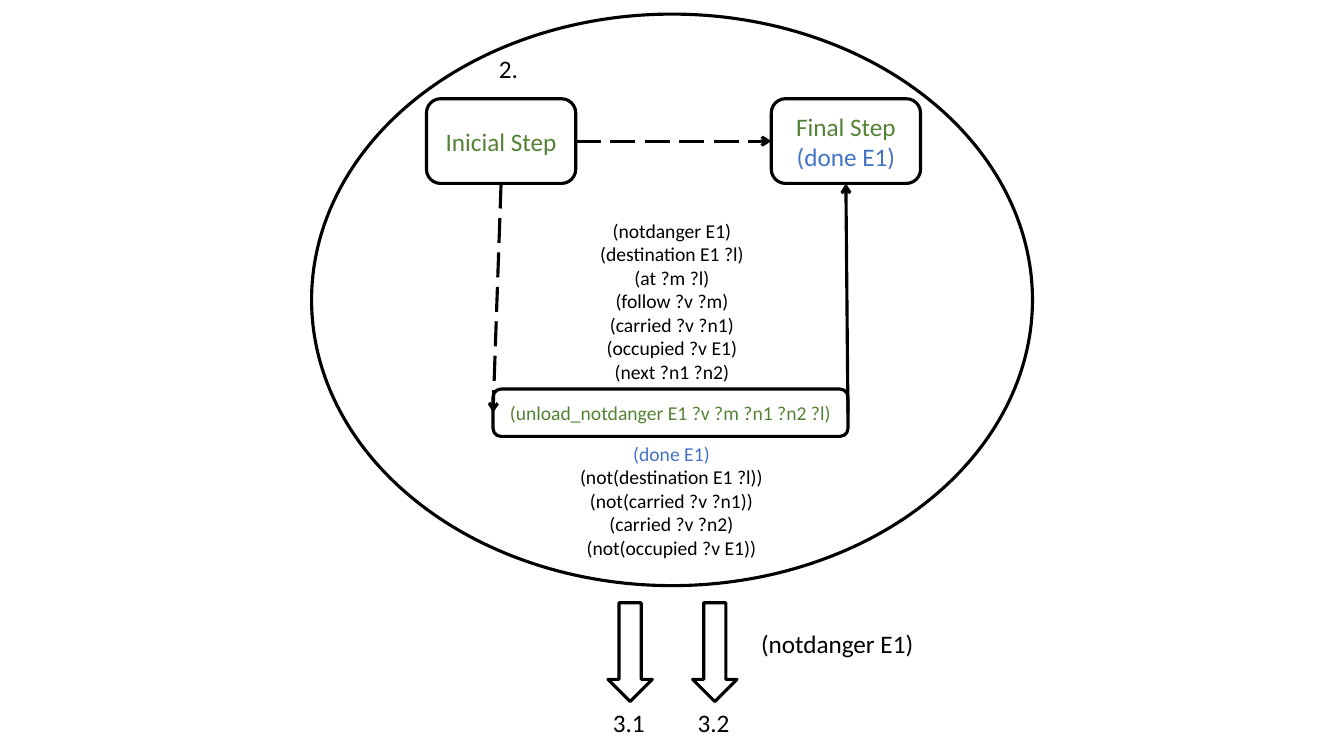
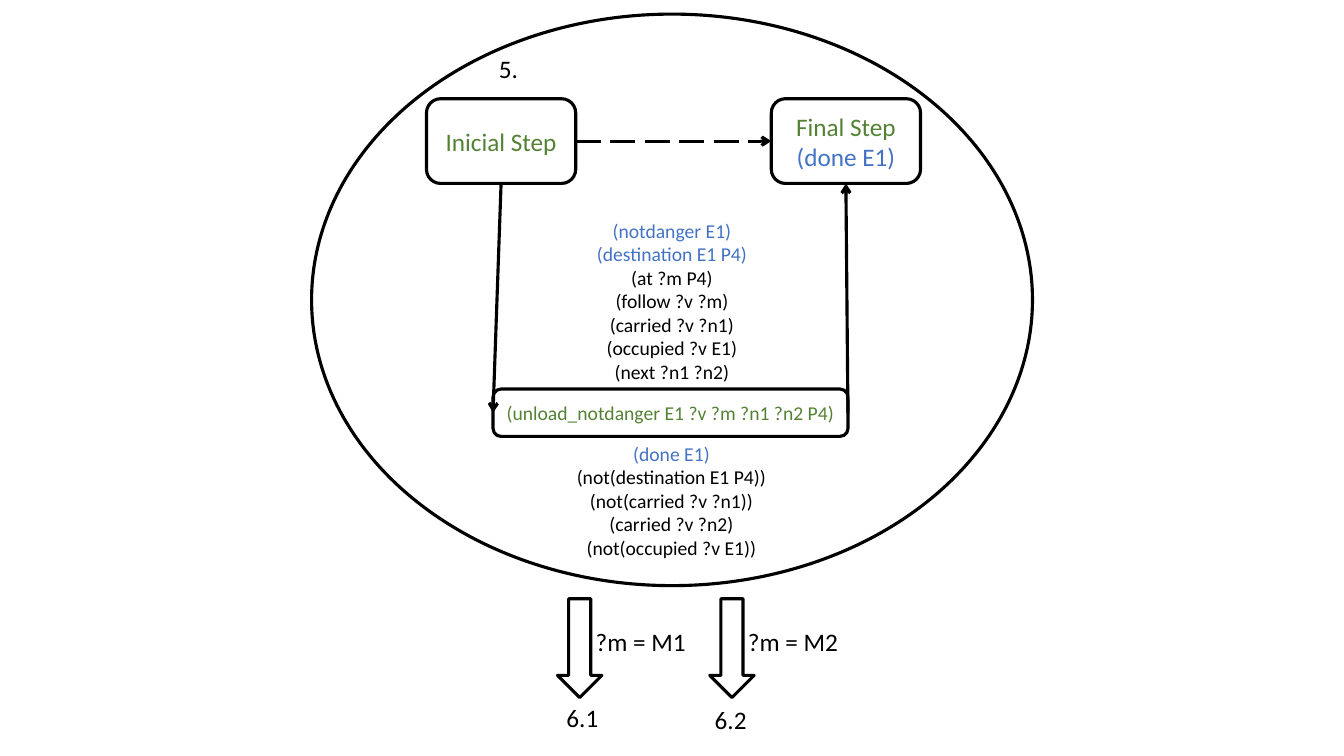
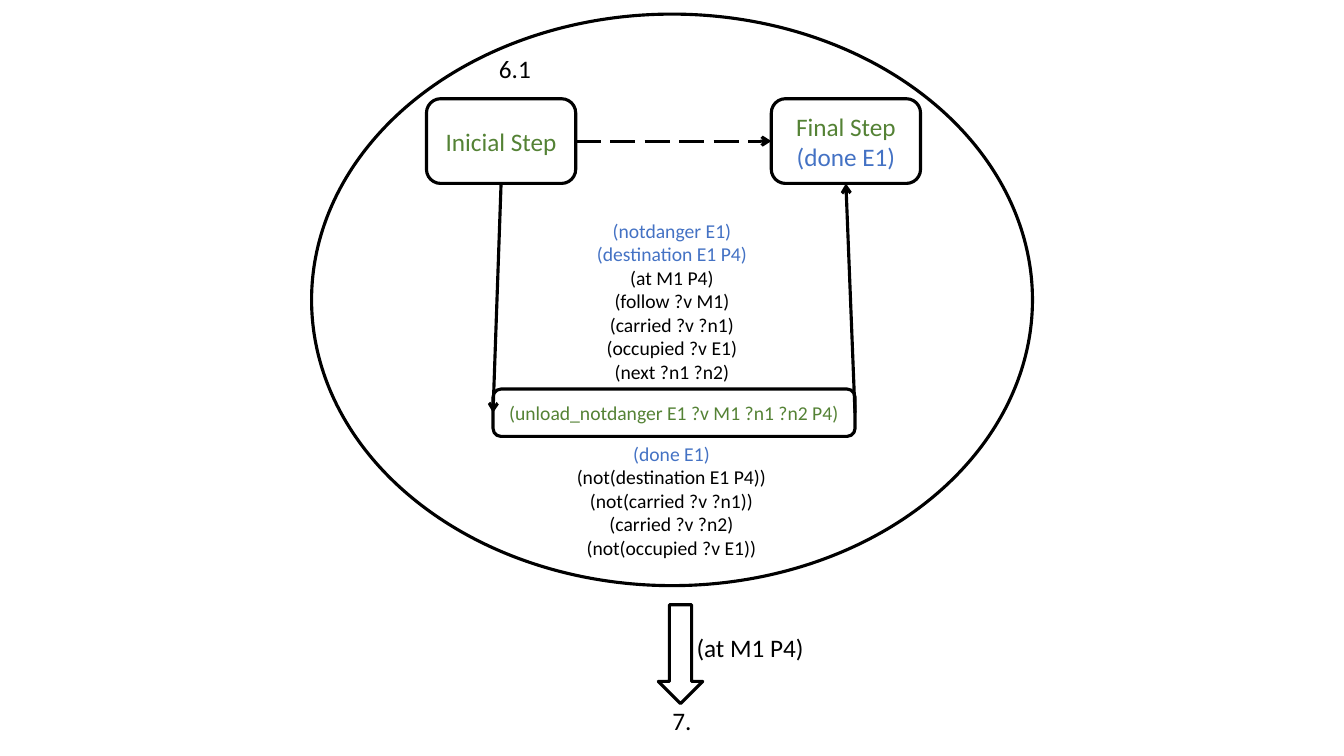
from dataclasses import dataclass
from pptx import Presentation
from pptx.dml.color import RGBColor as RGB
from pptx.enum.dml import MSO_LINE as Dash
from pptx.enum.shapes import MSO_CONNECTOR as Conn, MSO_SHAPE as Form
from pptx.enum.text import MSO_ANCHOR as Anchor, PP_ALIGN as Align
from pptx.oxml import parse_xml
from pptx.oxml.ns import nsdecls, qn
from pptx.util import Inches, Pt


@dataclass
class Theme:
    ink: RGB = RGB(0, 0, 0)
    paper: RGB = RGB(255, 255, 255)
    green: RGB = RGB(0x54, 0x82, 0x35)
    blue: RGB = RGB(0x44, 0x72, 0xC4)
    font: str = "Calibri"
    big: int = 18
    small: int = 14
    line: float = 2.25


theme = Theme()


def write(box, rows, size=theme.big, align=Align.CENTER, **style):
    frame = box.text_frame
    for name, value in style.items():
        setattr(frame, name, value)
    for i, (text, color) in enumerate(rows):
        para = frame.paragraphs[0] if i == 0 else frame.add_paragraph()
        para.alignment = align
        run = para.add_run()
        run.text = text
        run.font.name, run.font.size = theme.font, Pt(size)
        run.font.color.rgb = color


def draw(slide, form, *place):
    shape = slide.shapes.add_shape(form, *map(Inches, place))
    shape.shadow.inherit = False
    shape.fill.solid()
    shape.fill.fore_color.rgb = theme.paper
    shape.line.color.rgb = theme.ink
    shape.line.width = Pt(theme.line)
    return shape


pages = [
    dict(number="2.", item="?m", place="?l", known=0, width=3.52, open=True,
         top=5.98, arrows=[6.03, 6.87],
         notes=[("3.1", 5.98, 6.97, 0.54), ("3.2", 6.82, 6.97, 0.54),
                ("(notdanger E1)", 7.45, 6.18, 1.77)]),
    dict(number="5.", item="?m", place="P4", known=2, width=3.52, open=False,
         top=5.94, arrows=[5.53, 7.04],
         notes=[("?m = M1", 5.81, 6.16, 1.17), ("?m = M2", 7.32, 6.16, 1.26),
                ("6.2", 6.99, 6.94, 0.54), ("6.1", 5.52, 6.92, 0.69)]),
    dict(number="6.1", item="M1", place="P4", known=2, width=3.59, open=False,
         top=6, arrows=[6.53],
         notes=[("(at M1 P4)", 6.81, 6.22, 2.22), ("7.", 6.57, 6.95, 0.39)]),
]
TOP, LEFT, BOTTOM, RIGHT = range(4)

deck = Presentation()
deck.slide_width, deck.slide_height = Inches(13.33), Inches(7.5)

for page in pages:
    slide = deck.slides.add_slide(deck.slide_layouts[6])
    item, place = page["item"], page["place"]
    draw(slide, Form.OVAL, 3.09, 0.14, 7.15, 5.67)

    start = draw(slide, Form.ROUNDED_RECTANGLE, 4.23, 0.98, 1.48, 0.84)
    final = draw(slide, Form.ROUNDED_RECTANGLE, 7.65, 0.98, 1.48, 0.84)
    step = draw(slide, Form.ROUNDED_RECTANGLE, 4.89, 3.86, page["width"], 0.47)
    action = f"(unload_notdanger E1 ?v {item} ?n1 ?n2 {place})"
    for box, rows, size in [
        (start, [("Inicial Step", theme.green)], theme.big),
        (final, [("Final Step", theme.green), ("(done E1)", theme.blue)], theme.big),
        (step, [(action, theme.green)], theme.small),
    ]:
        write(box, rows, size, vertical_anchor=Anchor.MIDDLE)

    needs = ["(notdanger E1)", f"(destination E1 {place})", f"(at {item} {place})",
             f"(follow ?v {item})", "(carried ?v ?n1)", "(occupied ?v E1)",
             "(next ?n1 ?n2)"]
    gains = ["(done E1)", f"(not(destination E1 {place}))", "(not(carried ?v ?n1))",
             "(carried ?v ?n2)", "(not(occupied ?v E1))"]
    for facts, known, spot in [
        (needs, page["known"], (5.55, 2.12, 2.23, 1.75)),
        (gains, 1, (5.25, 4.33, 2.82, 1.28)),
    ]:
        box = slide.shapes.add_textbox(*map(Inches, spot))
        rows = [(fact, theme.blue if i < known else theme.ink)
                for i, fact in enumerate(facts)]
        write(box, rows, theme.small, word_wrap=True)

    for tail, out, head, into, dashed in [
        (start, RIGHT, final, LEFT, True),
        (start, BOTTOM, step, LEFT, page["open"]),
        (step, RIGHT, final, BOTTOM, False),
    ]:
        link = slide.shapes.add_connector(Conn.STRAIGHT, 0, 0, 0, 0)
        link.begin_connect(tail, out)
        link.end_connect(head, into)
        link.line.color.rgb = theme.ink
        link.line.width = Pt(theme.line)
        if dashed:
            link.line.dash_style = Dash.LONG_DASH
        props = link._element.spPr
        props.find(qn("a:ln")).append(
            parse_xml(f'<a:tailEnd {nsdecls("a")} type="arrow"/>'))
        props.append(parse_xml(f'<a:effectLst {nsdecls("a")}/>'))

    for left in page["arrows"]:
        draw(slide, Form.DOWN_ARROW, left, page["top"], 0.44, 0.98)

    for text, left, top, width in [(page["number"], 4.85, 0.48, 0.52), *page["notes"]]:
        box = slide.shapes.add_textbox(*map(Inches, (left, top, width, 0.4)))
        write(box, [(text, theme.ink)], align=Align.LEFT, word_wrap=width > 0.52)

deck.save("out.pptx")
